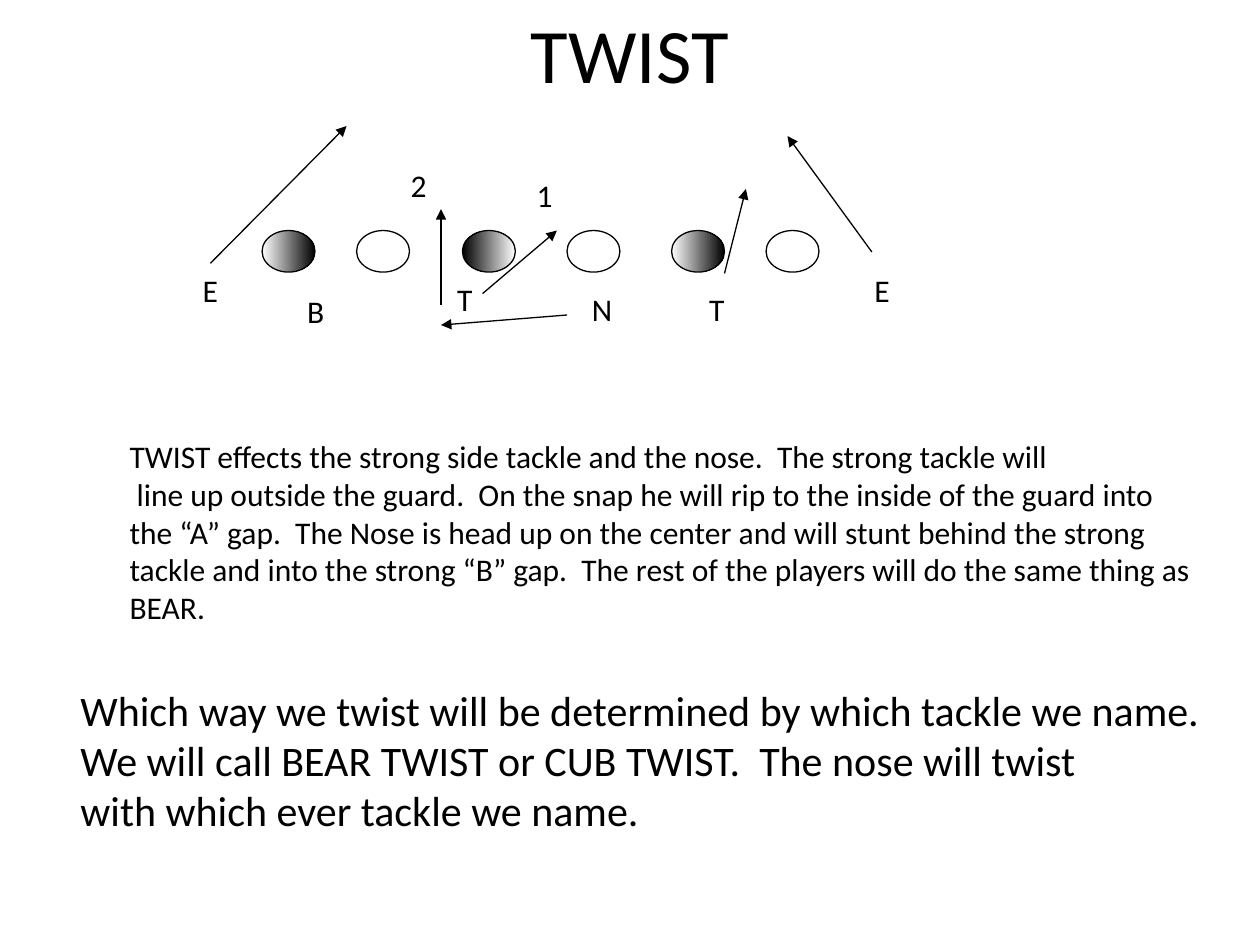
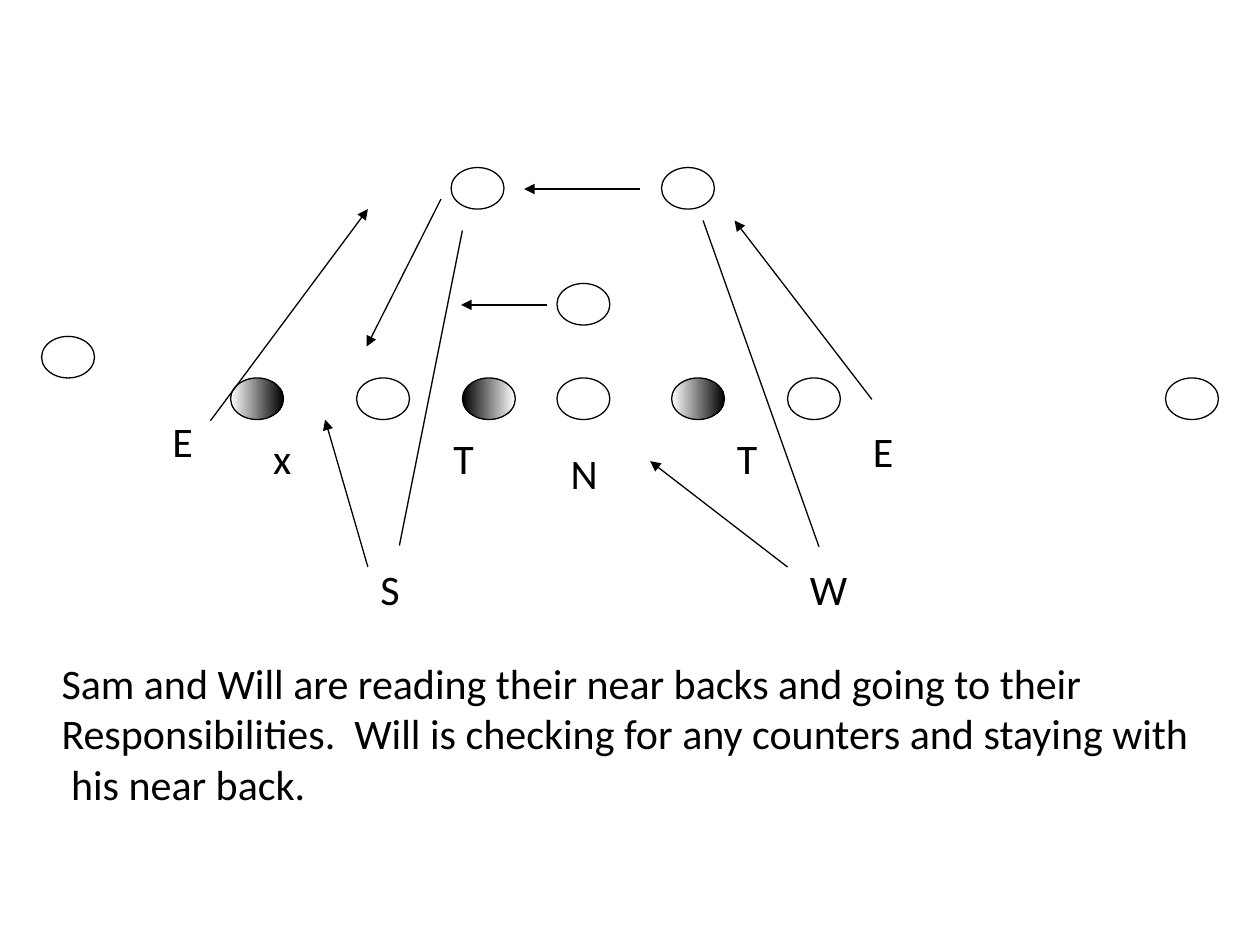
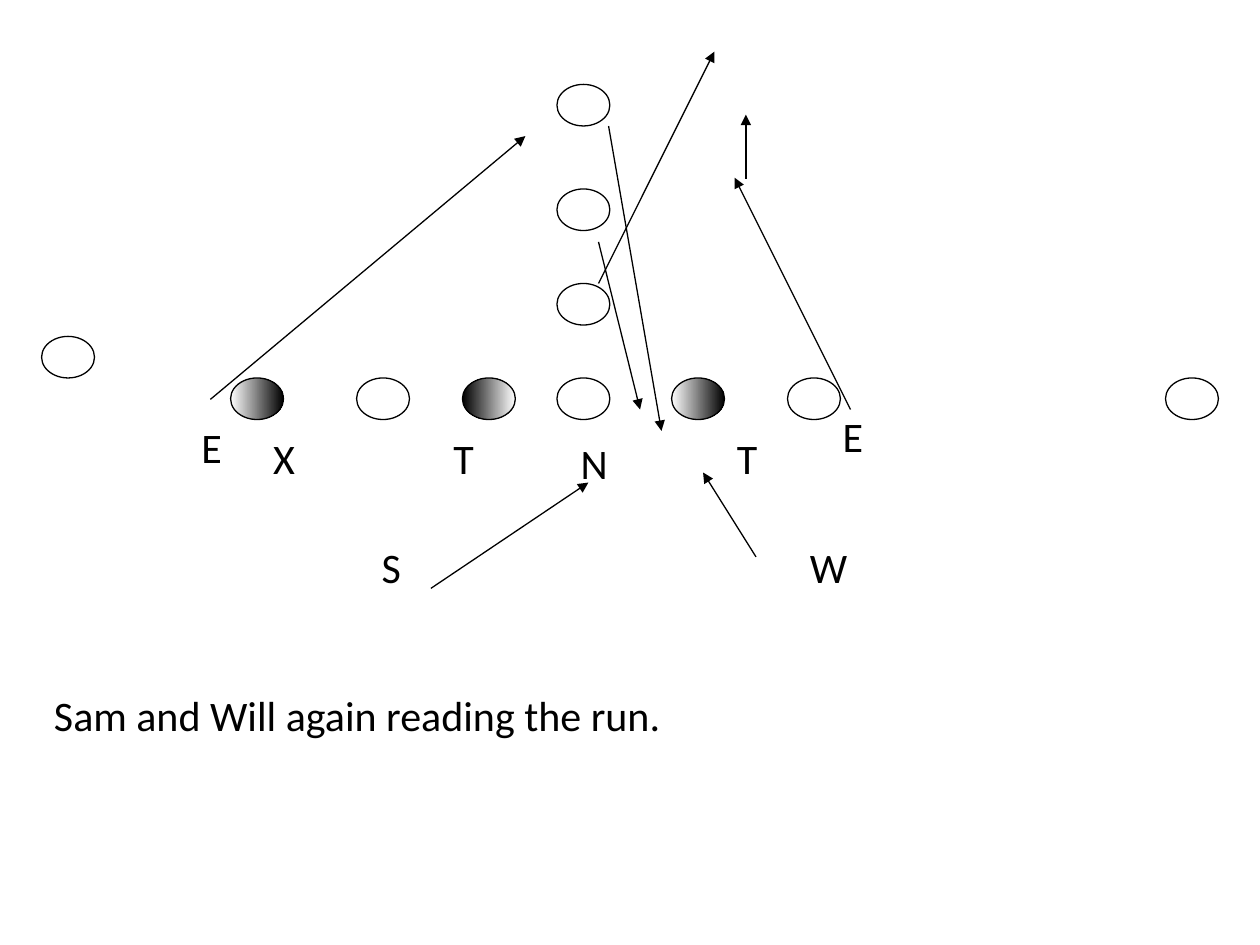
from dataclasses import dataclass

from lxml.etree import SubElement as Sub
from pptx import Presentation
from pptx.dml.color import RGBColor as RGB
from pptx.enum.shapes import MSO_CONNECTOR as Conn, MSO_SHAPE as Shape
from pptx.enum.text import MSO_ANCHOR as Anchor, MSO_AUTO_SIZE as Fit, PP_ALIGN as Align
from pptx.oxml.ns import qn
from pptx.util import Emu, Pt


@dataclass(frozen=True)
class Theme:
    """Colours, font and type sizes of the deck."""
    ink: RGB = RGB(0, 0, 0)
    paper: RGB = RGB(255, 255, 255)
    font: str = "Calibri"
    title: int = 44
    large: int = 24
    small: int = 18
    line: float = 0.75


LOOK = Theme()
SCALE = 9144
OVAL = (42, 33)
PLAIN = (LOOK.paper,)
RIGHT = (LOOK.paper, LOOK.ink)
LEFT = (LOOK.ink, LOOK.paper)
FRONT = (RIGHT, PLAIN, LEFT, PLAIN, RIGHT, PLAIN)
WIDE = (183, 283, 367, 442, 533, 625)
SPLIT = ((33, 267), (925, 300), (442, 225))


def px(*vals):
    """Turn px into EMU, 100 px to the inch."""
    return [Emu(val * SCALE) for val in vals]


def put(item, vals):
    """Set each named attribute of an item."""
    for name, val in vals.items():
        setattr(item, name, val)


def ink(run, size):
    """Give a run the deck's font and colour."""
    put(run.font, {"name": LOOK.font, "size": Pt(size)})
    run.font.color.rgb = LOOK.ink


def stroke(line):
    """Draw a thin dark line."""
    put(line, {"width": Pt(LOOK.line)})
    line.color.rgb = LOOK.ink


def head(slide, text):
    """Fill and place the title."""
    title = slide.shapes.title
    put(title, dict(zip(("left", "top", "width", "height"), px(75, 0, 850, 117))))
    frame = title.text_frame
    put(frame, {"text": text, "vertical_anchor": Anchor.TOP, "auto_size": Fit.NONE})
    para = frame.paragraphs[0]
    para.alignment = Align.CENTER
    ink(para.runs[0], LOOK.title)


def write(slide, text, x, y, wide, size=LOOK.large, wrap=False):
    """Add text, one paragraph to a line, in a box as tall as its lines."""
    rows = text.count("\n") + 1
    tall = 10 + rows * size * 5 // 3
    frame = slide.shapes.add_textbox(*px(x, y, wide, tall)).text_frame
    put(frame, {"text": text, "word_wrap": wrap, "auto_size": Fit.SHAPE_TO_FIT_TEXT})
    for para in frame.paragraphs:
        ink(para.runs[0], size)


def man(slide, x, y, tones=PLAIN):
    """Add a player as an oval, plain or shaded from left to right."""
    oval = slide.shapes.add_shape(Shape.OVAL, *px(x, y, *OVAL))
    oval.shadow.inherit = False
    stroke(oval.line)
    fill = oval.fill
    if len(tones) == 1:
        fill.solid()
        fill.fore_color.rgb = tones[0]
        return
    fill.gradient()
    fill.gradient_angle = 0
    for stop, tone, place in zip(fill.gradient_stops, tones, (0, 1)):
        stop.color.rgb = tone
        stop.position = place


def front(slide, cols, y):
    """Add the six players of the line."""
    for x, tones in zip(cols, FRONT):
        man(slide, x, y, tones)


def spread(slide, backs):
    """Add the wide line, the split players and the backs."""
    front(slide, WIDE, 300)
    for spot in SPLIT + backs:
        man(slide, *spot)


def move(slide, ends, tip=True):
    """Add a straight line, with an arrowhead if it has a tip."""
    link = slide.shapes.add_connector(Conn.STRAIGHT, *px(*ends))
    stroke(link.line)
    if tip:
        Sub(link.line._get_or_add_ln(), qn("a:tailEnd"), type="triangle")
    Sub(link._element.spPr, qn("a:effectLst"))


def moves(slide, *paths):
    """Add an arrow for each pair of ends."""
    for ends in paths:
        move(slide, ends)


def marks(slide, size, *spots):
    """Add the letters or numbers of a play."""
    for text, x, y, wide in spots:
        write(slide, text, x, y, wide, size)


def twist(slide):
    """Build the twist play."""
    head(slide, "TWIST")
    front(slide, (208, 283, 367, 450, 533, 608), 183)
    marks(slide, LOOK.small,
          ("B", 234, 227, 33), ("E", 151, 210, 32), ("E", 684, 210, 32),
          ("N", 460, 225, 36), ("T", 353, 217, 32), ("T", 553, 225, 32),
          ("1", 416, 135, 32), ("2", 316, 127, 32))
    moves(slide, (167, 209, 275, 100), (692, 200, 625, 108),
          (575, 217, 592, 150), (383, 233, 442, 183),
          (450, 250, 350, 258), (350, 242, 350, 166))
    write(slide, "TWIST effects the strong side tackle and the nose.  The strong tackle will\n"
          " line up outside the guard.  On the snap he will rip to the inside of the guard into\n"
          "the “A” gap.  The Nose is head up on the center and will stunt behind the strong\n"
          "tackle and into the strong “B” gap.  The rest of the players will do the same thing as\n"
          "BEAR.", 93, 342, 871, LOOK.small)
    write(slide, "Which way we twist will be determined by which tackle we name.\n"
          "We will call BEAR TWIST or CUB TWIST.  The nose will twist\n"
          "with which ever tackle we name.", 54, 538, 911)


def sweep(slide):
    """Build the play with two split backs."""
    spread(slide, ((525, 133), (358, 133)))
    marks(slide, LOOK.large,
          ("T", 575, 338, 36), ("N", 443, 350, 41), ("T", 350, 338, 36),
          ("x", 207, 338, 34), ("E", 127, 325, 36))
    for spot in (("S", 292, 442, 55), ("W", 633, 442, 52), ("E", 683, 333, 60)):
        write(slide, *spot, wrap=True)
    moves(slide, (350, 158, 291, 275), (508, 150, 416, 150),
          (434, 242, 366, 242), (167, 334, 292, 166),
          (692, 317, 583, 175), (625, 450, 516, 366), (292, 450, 258, 333))
    for ends in ((317, 433, 367, 183), (650, 434, 558, 175)):
        move(slide, ends, tip=False)
    write(slide, "Sam and Will are reading their near backs and going to their\n"
          "Responsibilities.  Will is checking for any counters and staying with\n"
          " his near back.", 39, 517, 927)


def dive(slide):
    """Build the play with stacked backs."""
    spread(slide, ((442, 150), (442, 67)))
    marks(slide, LOOK.large,
          ("S", 293, 425, 35), ("E", 659, 321, 36), ("T", 575, 338, 36),
          ("N", 451, 342, 41), ("T", 350, 338, 36), ("X", 207, 338, 37),
          ("E", 150, 330, 36))
    write(slide, "W", 633, 425, 52, wrap=True)
    moves(slide, (475, 225, 567, 41), (475, 192, 508, 325),
          (483, 100, 525, 342), (342, 467, 467, 383),
          (600, 442, 558, 375), (167, 317, 417, 108),
          (675, 325, 583, 141), (592, 142, 592, 91))
    write(slide, "Sam and Will again reading the run.", 33, 542, 502)


def main():
    """Build and save the deck."""
    deck = Presentation()
    put(deck, dict(zip(("slide_width", "slide_height"), px(1000, 750))))
    for build, kind in ((twist, 5), (sweep, 6), (dive, 6)):
        build(deck.slides.add_slide(deck.slide_layouts[kind]))
    deck.save("out.pptx")


if __name__ == "__main__":
    main()
